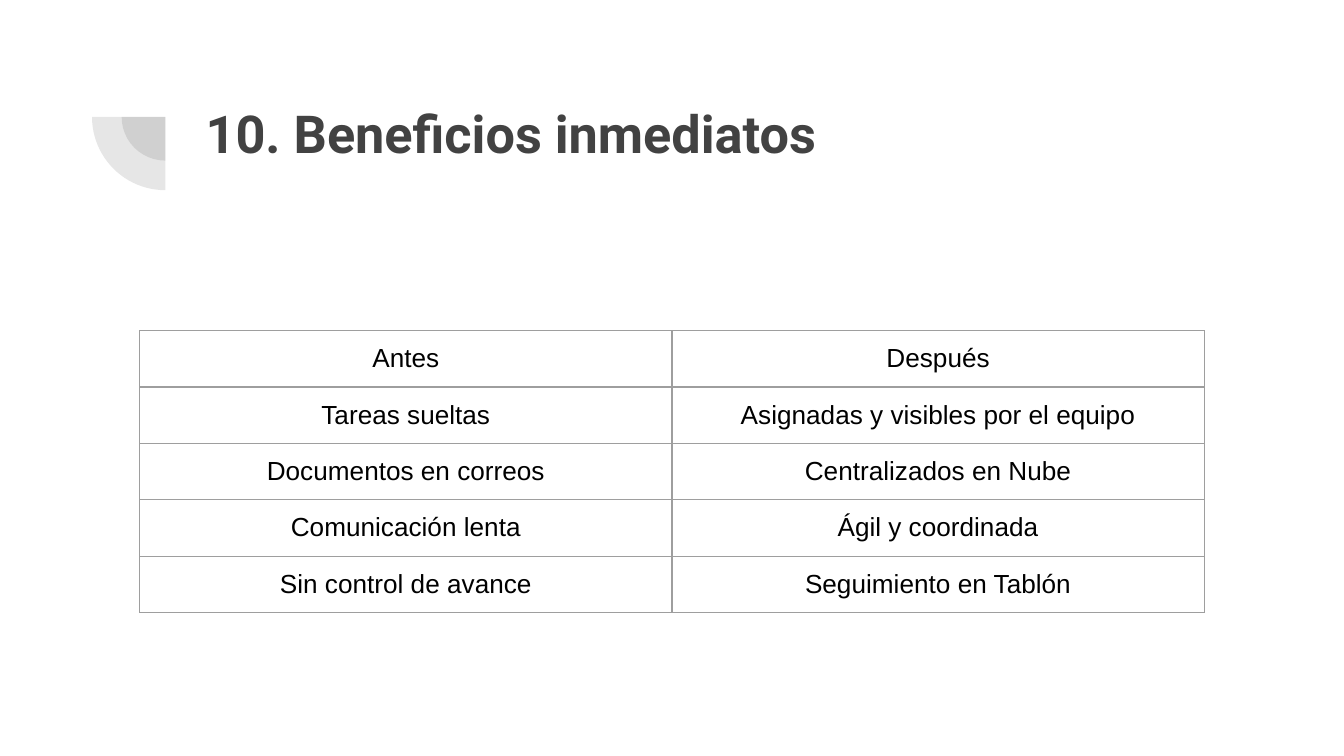
from dataclasses import dataclass
from lxml.etree import SubElement
from pptx import Presentation
from pptx.dml.color import RGBColor
from pptx.enum.shapes import MSO_SHAPE
from pptx.enum.text import MSO_ANCHOR, MSO_AUTO_SIZE, PP_ALIGN
from pptx.oxml.ns import qn
from pptx.util import Inches, Pt

# Content
TITLE = "10. Beneficios inmediatos"
ROWS = [
    ("Antes", "Después"),
    ("Tareas sueltas", "Asignadas y visibles por el equipo"),
    ("Documentos en correos", "Centralizados en Nube"),
    ("Comunicación lenta", "Ágil y coordinada"),
    ("Sin control de avance", "Seguimiento en Tablón"),
]


@dataclass(frozen=True)
class Theme:
    ink: str = "424242"
    text: str = "000000"
    rule: str = "9E9E9E"
    head: str = "Roboto"
    body: str = "Arial"
    head_size: int = 28
    body_size: int = 14
    rule_size: float = 0.75
    alpha: int = 13
    pad: float = 0.1


# Layout in inches, on a 16:9 slide
THEME = Theme()
WIDE = 10
HIGH = WIDE * 9 / 16
HUB = (1.23, 0.87)  # shared centre of the quarter discs
DISCS = (0.65, 1.09)
COL, ROW = 3.96, 0.42
LEFT, TOP = (WIDE - COL * len(ROWS[0])) / 2, 2.46


def style(par, face, size, color, bold=False):
    par.font.name, par.font.size, par.font.bold = face, Pt(size), bold
    par.font.color.rgb = RGBColor.from_string(color)


def pad(box):
    for side in ("left", "top", "right", "bottom"):
        setattr(box, f"margin_{side}", Inches(THEME.pad))


# Quarter discs beside the title
def add_disc(slide, size):
    x, y = (Inches(mid - size / 2) for mid in HUB)
    disc = slide.shapes.add_shape(MSO_SHAPE.PIE, x, y, Inches(size), Inches(size))
    disc.adjustments[0], disc.adjustments[1] = 108, 162
    disc.rotation = 270
    disc.shadow.inherit = False
    disc.line.fill.background()
    disc.fill.solid()
    disc.fill.fore_color.rgb = RGBColor.from_string(THEME.ink)
    color = disc.element.spPr.find(f".//{qn('a:srgbClr')}")
    SubElement(color, qn("a:alpha"), val=str(THEME.alpha * 1000))


def add_title(slide):
    title = slide.shapes.title
    title.left, title.top = Inches(1.43), Inches(0.65)
    title.width, title.height = Inches(7.69), Inches(1.09)
    frame = title.text_frame
    frame.text = TITLE
    frame.word_wrap = True
    frame.auto_size = MSO_AUTO_SIZE.NONE
    frame.vertical_anchor = MSO_ANCHOR.TOP
    pad(frame)
    par = frame.paragraphs[0]
    par.alignment = PP_ALIGN.LEFT
    style(par, THEME.head, THEME.head_size, THEME.ink, bold=True)


# Before and after table
def add_rules(cell):
    props = cell._tc.get_or_add_tcPr()
    for side in ("lnL", "lnR", "lnT", "lnB"):
        line = SubElement(props, qn(f"a:{side}"), w=str(Pt(THEME.rule_size)))
        fill = SubElement(line, qn("a:solidFill"))
        SubElement(fill, qn("a:srgbClr"), val=THEME.rule)


def add_grid(slide):
    rows, cols = len(ROWS), len(ROWS[0])
    table = slide.shapes.add_table(
        rows, cols, Inches(LEFT), Inches(TOP),
        Inches(COL * cols), Inches(ROW * rows)).table
    table.first_row = table.horz_banding = False
    for r, row in enumerate(ROWS):
        for c, text in enumerate(row):
            cell = table.cell(r, c)
            cell.text = text
            pad(cell)
            add_rules(cell)
            cell.fill.background()
            par = cell.text_frame.paragraphs[0]
            par.alignment = PP_ALIGN.CENTER
            style(par, THEME.body, THEME.body_size, THEME.text)


def main():
    deck = Presentation()
    deck.slide_width, deck.slide_height = Inches(WIDE), Inches(HIGH)
    slide = deck.slides.add_slide(deck.slide_layouts[5])
    for size in DISCS:
        add_disc(slide, size)
    add_title(slide)
    add_grid(slide)
    deck.save("out.pptx")


if __name__ == "__main__":
    main()
